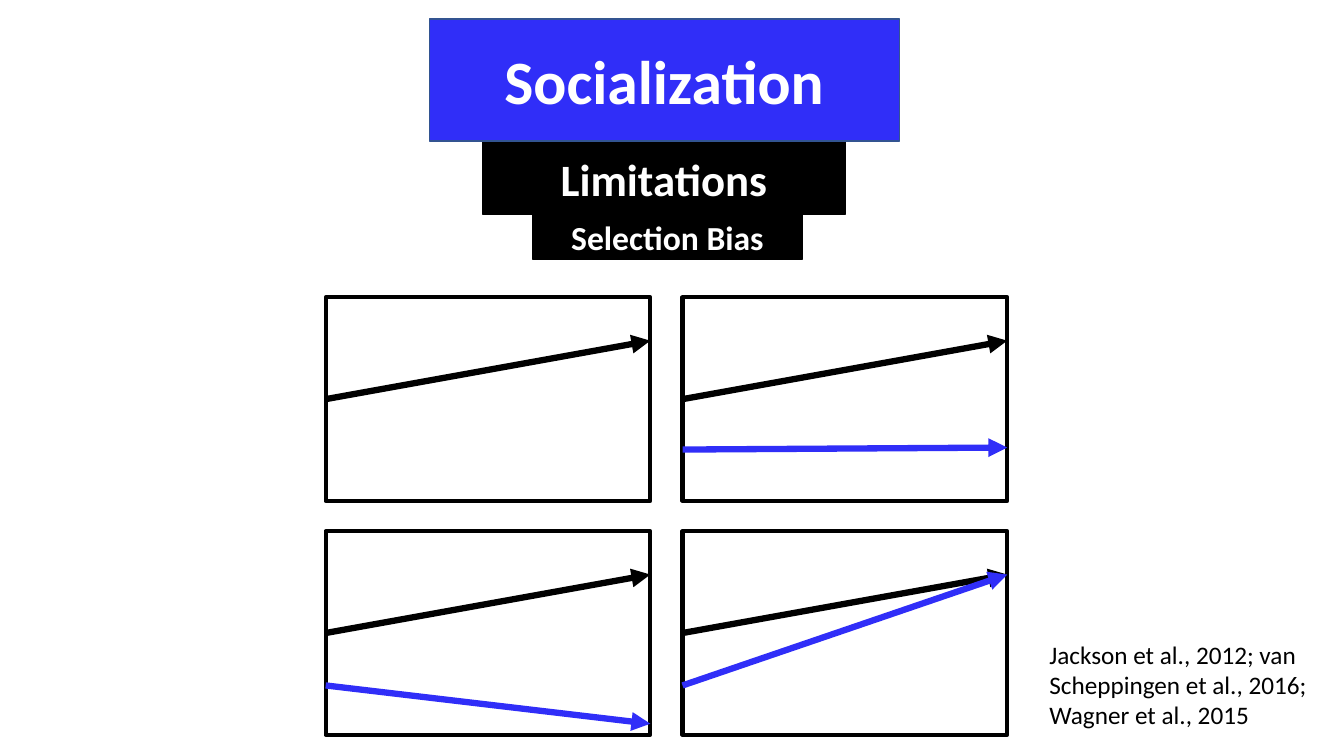
from lxml.etree import SubElement
from pptx import Presentation
from pptx.dml.color import RGBColor
from pptx.enum.shapes import MSO_CONNECTOR, MSO_SHAPE
from pptx.enum.text import MSO_ANCHOR, PP_ALIGN
from pptx.oxml.ns import qn
from pptx.util import Pt

# Content: lengths in px, 100 px to the inch
PX = 9144
COLORS = {"black": "000000", "white": "FFFFFF", "blue": "302EF8", "edge": "325491"}
FONT = "Calibri"

# text, box, fill, line, size
HEADINGS = [
    ("Limitations", (479, 141, 359, 72), "black", "black", 32),
    ("Socialization", (426, 19, 466, 121), "blue", "edge", 44),
    ("Selection Bias", (528, 213, 268, 44), "black", "black", 24),
]
CITATIONS = ["Jackson et al., 2012; van Scheppingen et al., 2016;", "Wagner et al., 2015"]
CITATION_BOX = (1031, 629, 287, 101)

# Panel grid; the blue trend gives start and end below the panel top
PANEL_LEFT, PANEL_TOP = 323, 295
PANEL_W, PANEL_H = 322, 202
STEP_X, STEP_Y = 354, 232
BLACK_END = 43
BLUE_TRENDS = [None, (151, 149), (153, 191), (153, BLACK_END)]

prs = Presentation()
prs.slide_width, prs.slide_height = 1333 * PX, 750 * PX
slide = prs.slides.add_slide(prs.slide_layouts[6])


def rgb(name):
    return RGBColor.from_string(COLORS[name])


def emu(*lengths):
    return [length * PX for length in lengths]


def add_text(tf, lines, size, color="black", bold=False, align=PP_ALIGN.LEFT,
             anchor=MSO_ANCHOR.TOP):
    tf.word_wrap = True
    tf.vertical_anchor = anchor
    for i, line in enumerate(lines):
        p = tf.paragraphs[0] if i == 0 else tf.add_paragraph()
        p.alignment = align
        r = p.add_run()
        r.text = line
        r.font.name, r.font.size, r.font.bold = FONT, Pt(size), bold
        r.font.color.rgb = rgb(color)


def add_rect(box, fill, line, width):
    sp = slide.shapes.add_shape(MSO_SHAPE.RECTANGLE, *emu(*box))
    sp.shadow.inherit = False
    sp.fill.solid()
    sp.fill.fore_color.rgb = rgb(fill)
    sp.line.color.rgb = rgb(line)
    sp.line.width = Pt(width)
    return sp


def add_arrow(x, y1, y2, color):
    cxn = slide.shapes.add_connector(MSO_CONNECTOR.STRAIGHT, *emu(x, y1, x + PANEL_W, y2))
    cxn.line.color.rgb = rgb(color)
    cxn.line.width = Pt(4.5)
    SubElement(cxn.line._get_or_add_ln(), qn("a:tailEnd"), type="triangle")
    SubElement(cxn._element.spPr, qn("a:effectLst"))
    return cxn


# Headings
for text, box, fill, line, size in HEADINGS:
    sp = add_rect(box, fill, line, 1)
    add_text(sp.text_frame, [text], size, color="white", bold=True,
             align=PP_ALIGN.CENTER, anchor=MSO_ANCHOR.MIDDLE)

# Panels with their trend arrows
for i, trend in enumerate(BLUE_TRENDS):
    row, col = divmod(i, 2)
    x, y = PANEL_LEFT + col * STEP_X, PANEL_TOP + row * STEP_Y
    panel = add_rect((x, y, PANEL_W, PANEL_H), "white", "black", 3)
    black = add_arrow(x, y + PANEL_H // 2, y + BLACK_END, "black")
    black.begin_connect(panel, 1)
    if trend:
        start, end = trend
        add_arrow(x, y + start, y + end, "blue")

# Citations
tb = slide.shapes.add_textbox(*emu(*CITATION_BOX))
add_text(tb.text_frame, CITATIONS, 18)

prs.save("out.pptx")
